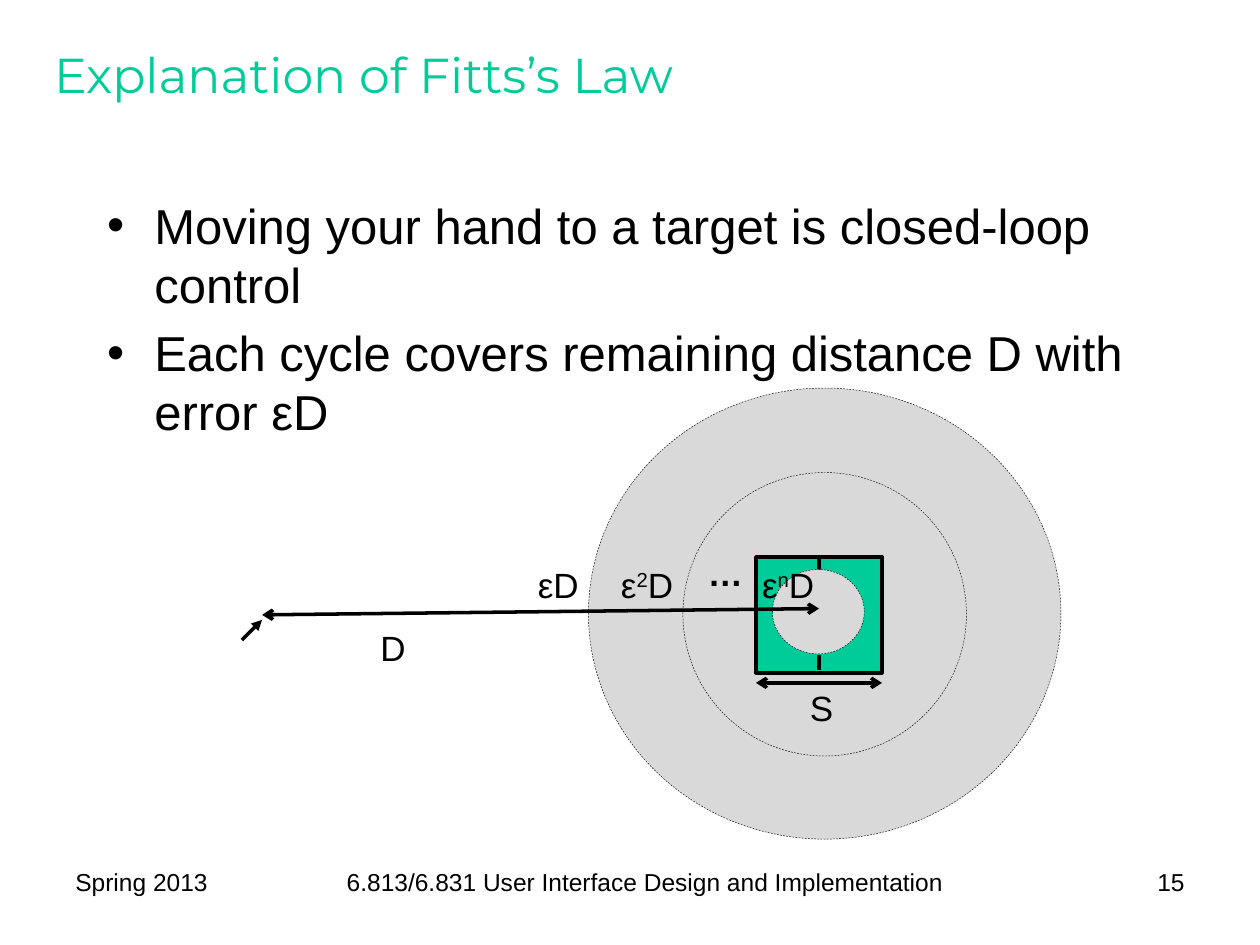
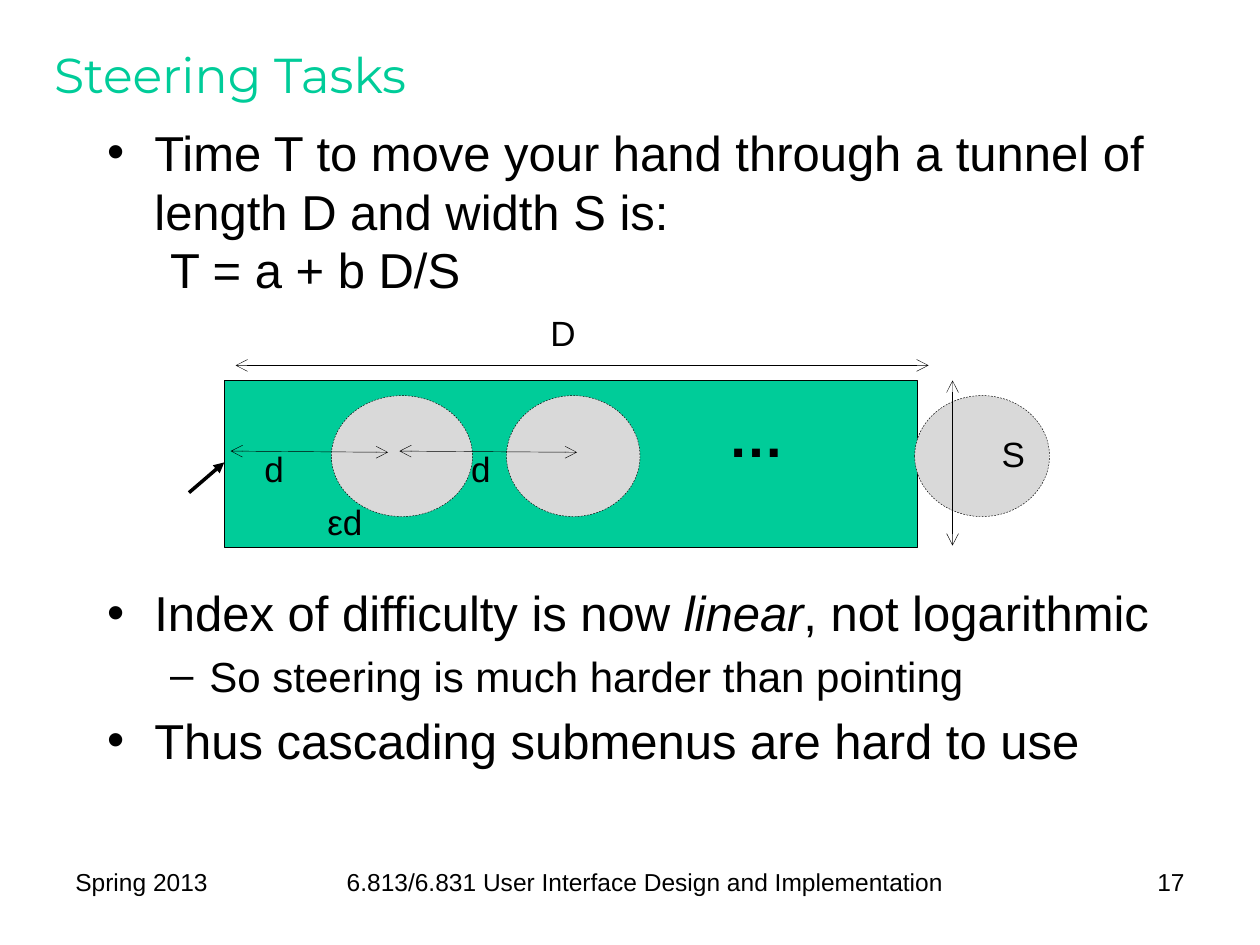
from dataclasses import dataclass
from functools import singledispatch

from lxml import etree
from pptx import Presentation
from pptx.dml.color import RGBColor
from pptx.enum.dml import MSO_LINE
from pptx.enum.shapes import MSO_CONNECTOR, MSO_SHAPE
from pptx.enum.text import MSO_ANCHOR, MSO_AUTO_SIZE, PP_ALIGN
from pptx.oxml.ns import qn
from pptx.slide import Slide
from pptx.text.text import TextFrame, _Paragraph
from pptx.util import Emu, Pt

PX = 9144
COLORS = {"accent": "00CC99", "error": "D9D9D9", "ink": "000000"}
TITLE_FONT, TEXT_FONT = "Montserrat", "Arial"
LEFT, CENTER, RIGHT = PP_ALIGN.LEFT, PP_ALIGN.CENTER, PP_ALIGN.RIGHT
RECTANGLE, ELLIPSE = MSO_SHAPE.RECTANGLE, MSO_SHAPE.OVAL
STRAIGHT, DASH = MSO_CONNECTOR.STRAIGHT, MSO_LINE.DASH
MIDDLE, NO_FIT, GROW = MSO_ANCHOR.MIDDLE, MSO_AUTO_SIZE.NONE, MSO_AUTO_SIZE.SHAPE_TO_FIT_TEXT
THIN, THICK = 0.25, 2


@dataclass(frozen=True)
class Box:
    left: int
    top: int
    width: int
    height: int

    def emu(self) -> tuple[Emu, ...]:
        return tuple(Emu(n * PX) for n in (self.left, self.top, self.width, self.height))


@dataclass(frozen=True)
class Span:
    text: str
    italic: bool = False
    raised: bool = False
    new_line: bool = False


@dataclass(frozen=True)
class Bullet:
    spans: tuple[Span, ...]
    level: int = 0
    size: int = 28
    space_before: float | None = None


@dataclass(frozen=True)
class Label:
    box: Box
    spans: tuple[Span, ...]
    size: int = 20
    bold: bool = False


@dataclass(frozen=True)
class Target:
    box: Box
    weight: float


@dataclass(frozen=True)
class ErrorZone:
    box: Box


@dataclass(frozen=True)
class Line:
    start: tuple[int, int]
    end: tuple[int, int]
    weight: float = THICK
    head: str = ""
    tail: str = ""
    dashed: bool = False


@dataclass(frozen=True)
class Footer:
    box: Box
    text: str
    align: PP_ALIGN


TITLE_BOX = Box(33, 17, 925, 83)


def color(name: str) -> RGBColor:
    return RGBColor.from_string(COLORS[name])


def add_span(para: _Paragraph, span: Span, size: int, ink: str = "ink",
             font: str = TEXT_FONT, bold: bool = False) -> None:
    if span.new_line:
        para.add_line_break()
    run = para.add_run()
    run.text = span.text
    run.font.name = font
    run.font.size = Pt(size)
    run.font.color.rgb = color(ink)
    run.font.bold = bold
    run.font.italic = span.italic
    if span.raised:
        run._r.get_or_add_rPr().set("baseline", "30000")


def add_textbox(page: Slide, box: Box, wrap: bool) -> TextFrame:
    frame = page.shapes.add_textbox(*box.emu()).text_frame
    frame.word_wrap = wrap
    frame.auto_size = NO_FIT if wrap else GROW
    return frame


def place(shape, box: Box) -> TextFrame:
    shape.left, shape.top, shape.width, shape.height = box.emu()
    shape.text_frame.auto_size = NO_FIT
    return shape.text_frame


def add_title(page: Slide, text: str) -> None:
    frame = place(page.shapes.title, TITLE_BOX)
    frame.vertical_anchor = MIDDLE
    para = frame.paragraphs[0]
    para.alignment = LEFT
    add_span(para, Span(text), 28, "accent", TITLE_FONT)


def add_bullets(page: Slide, box: Box, bullets: list[Bullet]) -> None:
    frame = place(page.placeholders[1], box)
    for index, bullet in enumerate(bullets):
        para = frame.add_paragraph() if index else frame.paragraphs[0]
        para.level = bullet.level
        if bullet.space_before is not None:
            para.space_before = Pt(bullet.space_before)
        for span in bullet.spans:
            add_span(para, span, bullet.size)


def add_footers(page: Slide, number: int) -> None:
    footers = (
        Footer(Box(50, 683, 150, 52), "Spring 2013", LEFT),
        Footer(Box(208, 683, 608, 52), "6.813/6.831 User Interface Design and Implementation", CENTER),
        Footer(Box(825, 683, 125, 52), str(number), RIGHT),
    )
    for footer in footers:
        para = add_textbox(page, footer.box, True).paragraphs[0]
        para.alignment = footer.align
        add_span(para, Span(footer.text), 14)


def add_figure(page: Slide, kind: MSO_SHAPE, box: Box, fill: str, weight: float):
    shape = page.shapes.add_shape(kind, *box.emu())
    shape.shadow.inherit = False
    shape.fill.solid()
    shape.fill.fore_color.rgb = color(fill)
    shape.line.color.rgb = color("ink")
    shape.line.width = Pt(weight)
    return shape


@singledispatch
def draw(part, page: Slide) -> None:
    raise TypeError(part)


@draw.register(Target)
def draw_target(part: Target, page: Slide) -> None:
    add_figure(page, RECTANGLE, part.box, "accent", part.weight)


@draw.register(ErrorZone)
def draw_error_zone(part: ErrorZone, page: Slide) -> None:
    add_figure(page, ELLIPSE, part.box, "error", THIN).line.dash_style = DASH


@draw.register(Label)
def draw_label(part: Label, page: Slide) -> None:
    para = add_textbox(page, part.box, False).paragraphs[0]
    for span in part.spans:
        add_span(para, span, part.size, bold=part.bold)


@draw.register(Line)
def draw_line(part: Line, page: Slide) -> None:
    ends = (Emu(n * PX) for n in part.start + part.end)
    connector = page.shapes.add_connector(STRAIGHT, *ends)
    connector.line.color.rgb = color("ink")
    connector.line.width = Pt(part.weight)
    if part.dashed:
        connector.line.dash_style = DASH
    stroke = connector.line._get_or_add_ln()
    for tag, arrow in (("a:headEnd", part.head), ("a:tailEnd", part.tail)):
        if arrow:
            etree.SubElement(stroke, qn(tag), type=arrow)
    etree.SubElement(connector._element.spPr, qn("a:effectLst"))


def measure(start: tuple[int, int], end: tuple[int, int], weight: float) -> Line:
    return Line(start, end, weight, "arrow", "arrow")


def pointer(start: tuple[int, int], end: tuple[int, int]) -> Line:
    return Line(start, end, tail="triangle")


def label(left: int, top: int, width: int, height: int, text: str) -> Label:
    return Label(Box(left, top, width, height), (Span(text),))


def power_label(left: int, exponent: str) -> Label:
    spans = (Span("ε"), Span(exponent, raised=True), Span("D"))
    return Label(Box(left, 442, 63, 44), spans)


def add_page(deck, number: int, title: str, body: Box, bullets: list[Bullet], diagram: list) -> None:
    page = deck.slides.add_slide(deck.slide_layouts[1])
    add_title(page, title)
    add_bullets(page, body, bullets)
    add_footers(page, number)
    for part in diagram:
        draw(part, page)


def add_fitts_page(deck) -> None:
    bullets = [
        Bullet((Span("Moving your hand to a target is closed-loop control"),)),
        Bullet((Span("Each cycle covers remaining distance D with error εD"),)),
    ]
    diagram = [
        ErrorZone(Box(467, 308, 375, 358)),
        ErrorZone(Box(542, 375, 225, 225)),
        pointer((192, 508), (208, 492)),
        Target(Box(600, 442, 100, 92), THICK),
        label(292, 492, 40, 43, "D"),
        label(633, 540, 39, 43, "S"),
        measure((600, 542), (700, 542), THICK),
        Line((650, 442), (650, 533), dashed=True),
        ErrorZone(Box(613, 452, 73, 67)),
        measure((208, 488), (650, 483), THICK),
        Label(Box(552, 433, 48, 44), (Span("…"),), bold=True),
        label(417, 442, 53, 44, "εD"),
        power_label(483, "2"),
        power_label(595, "n"),
    ]
    add_page(deck, 15, "Explanation of Fitts’s Law", Box(75, 150, 850, 517), bullets, diagram)


def add_steering_page(deck) -> None:
    bullets = [
        Bullet((Span("Time T to move your hand through a tunnel of length D and width S is:"),
                Span("\tT = a + b D/S", new_line=True))),
        Bullet((Span("Index of difficulty is now "), Span("linear", italic=True),
                Span(", not logarithmic")), space_before=162.4),
        Bullet((Span("So steering is much harder than pointing"),), level=1, size=24),
        Bullet((Span("Thus cascading submenus are hard to use"),)),
    ]
    diagram = [
        label(427, 242, 68, 62, "D"),
        Target(Box(178, 302, 550, 132), THIN),
        *(ErrorZone(Box(left, 314, width, 96)) for left, width in ((263, 112), (402, 106), (726, 107))),
        pointer((150, 391), (178, 367)),
        measure((187, 290), (737, 290), THIN),
        label(785, 338, 65, 62, "S"),
        measure((756, 433), (756, 302), THIN),
        Label(Box(568, 314, 110, 92), (Span("…"),), 32, True),
        label(200, 350, 36, 44, "d"),
        measure((183, 358), (308, 359), THIN),
        label(364, 350, 36, 44, "d"),
        measure((317, 358), (458, 359), THIN),
        label(250, 392, 48, 44, "εd"),
    ]
    add_page(deck, 17, "Steering Tasks", Box(75, 92, 850, 517), bullets, diagram)


def main() -> None:
    deck = Presentation()
    deck.slide_width, deck.slide_height = Emu(1000 * PX), Emu(750 * PX)
    add_fitts_page(deck)
    add_steering_page(deck)
    deck.save("out.pptx")


if __name__ == "__main__":
    main()
